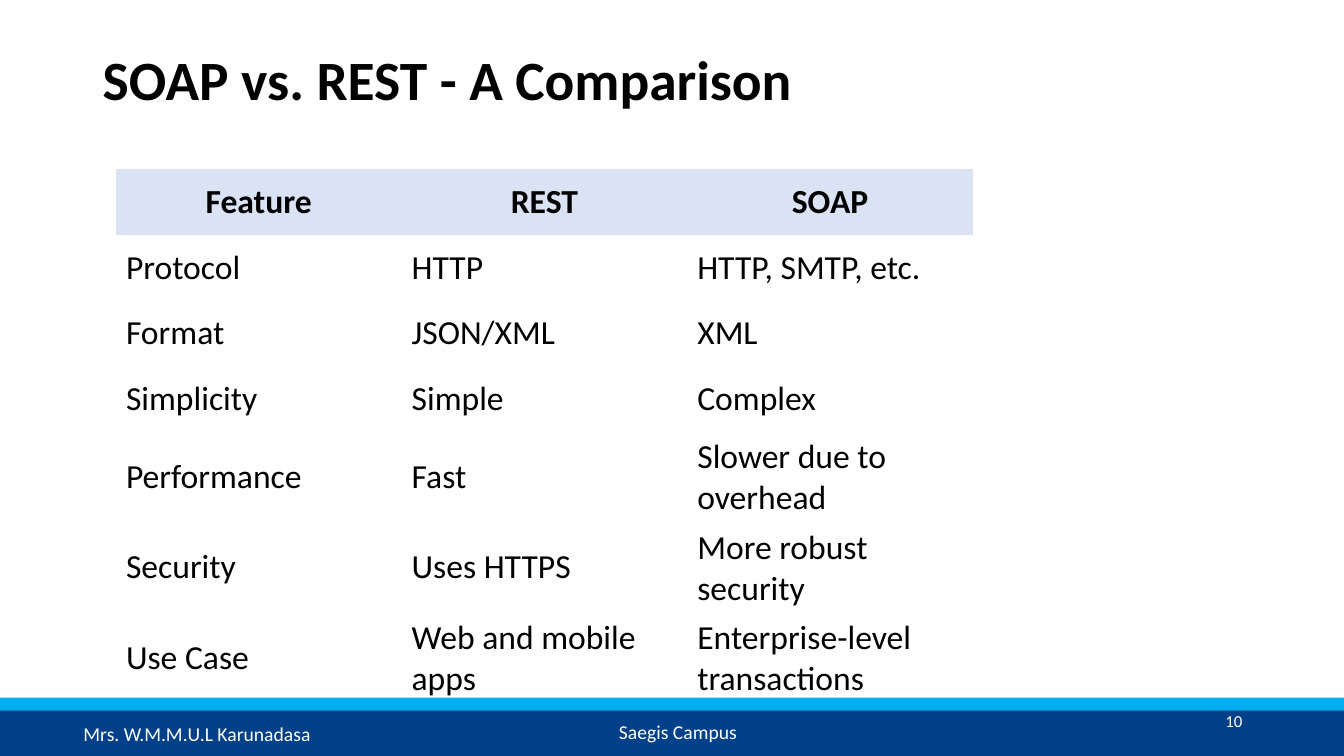
from pptx import Presentation
from pptx.dml.color import RGBColor
from pptx.enum import shapes, text
from pptx.oxml import ns
from pptx.util import Inches, Pt

FONT = "Calibri"
BLACK, WHITE = "000000", "FFFFFF"
HEADER_FILL, NAVY, SKY = "DAE3F3", "024189", "00ADF1"
NO_STYLE_NO_GRID = "{2D5ABB26-0587-4C30-8999-92F81FD0307C}"
PAGE_WIDTH, PAGE_HEIGHT = 13.33, 7.5

COMPARISON = [
    ("Feature", "REST", "SOAP"),
    ("Protocol", "HTTP", "HTTP, SMTP, etc."),
    ("Format", "JSON/XML", "XML"),
    ("Simplicity", "Simple", "Complex"),
    ("Performance", "Fast", "Slower due to overhead"),
    ("Security", "Uses HTTPS", "More robust security"),
    ("Use Case", "Web and mobile apps", "Enterprise-level transactions"),
]


def color(hex_string):
    return RGBColor.from_string(hex_string)


def write(frame, words, size, ink, bold=False, align=text.PP_ALIGN.LEFT):
    """Fill a text frame with one formatted paragraph."""
    frame.text = words
    para = frame.paragraphs[0]
    para.alignment = align
    for span in para.runs:
        span.font.name = FONT
        span.font.size = Pt(size)
        span.font.bold = bold
        span.font.color.rgb = color(ink)


def add_text(page, left, top, width, height, words, size, ink, **style):
    box = page.shapes.add_textbox(
        Inches(left), Inches(top), Inches(width), Inches(height))
    box.text_frame.word_wrap = True
    write(box.text_frame, words, size, ink, **style)
    return box


def add_bar(page, left, top, width, height, fill):
    bar = page.shapes.add_shape(
        shapes.MSO_SHAPE.RECTANGLE,
        Inches(left), Inches(top), Inches(width), Inches(height))
    bar.shadow.inherit = False
    bar.fill.solid()
    bar.fill.fore_color.rgb = color(fill)
    bar.line.fill.background()


def add_comparison(page, left, top, width, height):
    row_count, column_count = len(COMPARISON), len(COMPARISON[0])
    table = page.shapes.add_table(
        row_count, column_count,
        Inches(left), Inches(top), Inches(width), Inches(height)).table
    table.horz_banding = False
    table._tbl.tblPr.find(ns.qn("a:tableStyleId")).text = NO_STYLE_NO_GRID
    for row, entries in enumerate(COMPARISON):
        header = row == 0
        align = text.PP_ALIGN.CENTER if header else text.PP_ALIGN.LEFT
        for column, words in enumerate(entries):
            cell = table.cell(row, column)
            cell.vertical_anchor = text.MSO_ANCHOR.MIDDLE
            write(cell.text_frame, words, 24, BLACK, bold=header, align=align)
            if header:
                cell.fill.solid()
                cell.fill.fore_color.rgb = color(HEADER_FILL)
            else:
                cell.fill.background()


def add_footer(page, left, top, width, height):
    stripe = 0.13
    add_bar(page, left, top + stripe - 0.01, width, height - stripe + 0.01, NAVY)
    add_bar(page, left, top, width, stripe, SKY)
    add_text(page, left + 6.04, top + 0.17, 1.98, 0.34,
             "Saegis Campus", 14, WHITE)
    number = add_text(page, left + 9.42, top + 0.03, 3, 0.4,
                      "10", 12, WHITE, align=text.PP_ALIGN.RIGHT)
    number.text_frame.vertical_anchor = text.MSO_ANCHOR.MIDDLE
    add_text(page, left + 0.73, top + 0.19, 2.76, 0.34,
             "Mrs. W.M.M.U.L Karunadasa", 14, WHITE)


def main():
    deck = Presentation()
    deck.slide_width, deck.slide_height = Inches(PAGE_WIDTH), Inches(PAGE_HEIGHT)
    page = deck.slides.add_slide(deck.slide_layouts[6])
    add_text(page, 0.92, 0.4, 11.5, 1.45,
             "SOAP vs. REST - A Comparison", 39.6, BLACK, bold=True)
    add_comparison(page, 1.15, 1.68, 8.5, 4.55)
    add_footer(page, 0, 6.92, PAGE_WIDTH, PAGE_HEIGHT - 6.92)
    deck.save("out.pptx")


if __name__ == "__main__":
    main()
